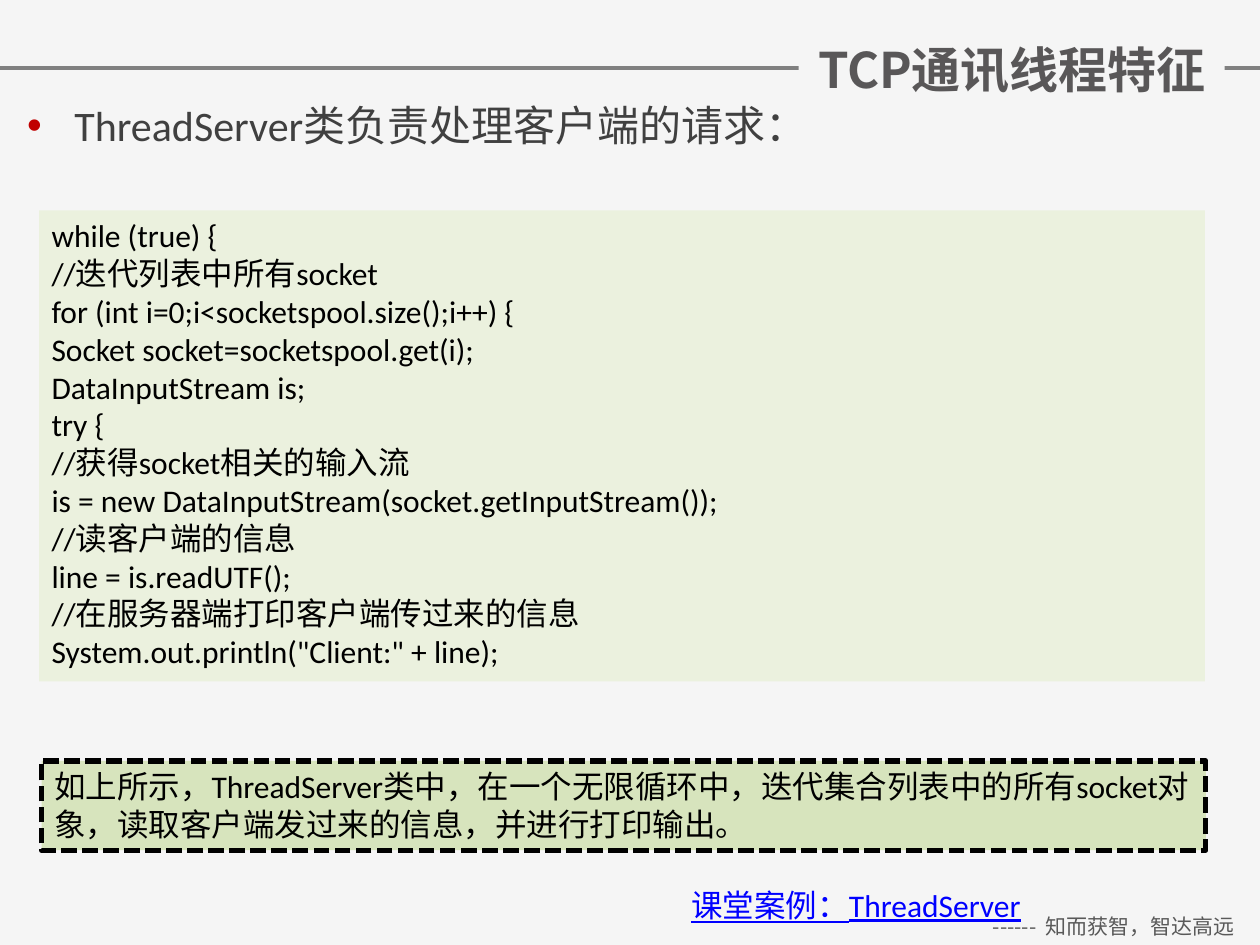
from lxml.etree import SubElement as Sub
from pptx import Presentation
from pptx.dml.color import RGBColor as Rgb
from pptx.enum.dml import MSO_LINE as Dash
from pptx.enum.shapes import MSO_CONNECTOR as Conn, MSO_SHAPE as Form
from pptx.enum.text import MSO_ANCHOR as Anchor, PP_ALIGN as Align
from pptx.oxml.ns import qn
from pptx.util import Cm, Pt

INK = {
    "back": "F5F5F5", "rule": "808080", "foot": "595959", "title": "595758",
    "body": "404040", "dot": "C00000", "code": "EBF1DE", "note": "D7E4BD",
    "black": "000000", "link": "0000FF",
}
CJK = "Noto Sans CJK SC"
CODE = """while (true) {
//迭代列表中所有socket
for (int i=0;i<socketspool.size();i++) {
Socket socket=socketspool.get(i);
DataInputStream is;
try {
//获得socket相关的输入流
is = new DataInputStream(socket.getInputStream());
//读客户端的信息
line = is.readUTF();
//在服务器端打印客户端传过来的信息
System.out.println("Client:" + line);"""
NOTE = ("如上所示，ThreadServer类中，在一个无限循环中，迭代集合列表中的所有socket对象，"
        "读取客户端发过来的信息，并进行打印输出。")


def color(name):
    return Rgb.from_string(INK[name])


def write(shape, text, size=18, ink="black", face="Calibri", align=Align.LEFT,
          anchor=Anchor.TOP, wrap=True, bold=False, under=False):
    frame = shape.text_frame
    frame.text = text
    frame.word_wrap = wrap
    frame.vertical_anchor = anchor
    for para in frame.paragraphs:
        para.alignment = align
        font = para.font
        font.name, font.size = face, Pt(size)
        font.bold, font.underline = bold, under
        font.color.rgb = color(ink)
        props = para._p.pPr.find(qn("a:defRPr"))
        Sub(props, qn("a:ea")).set("typeface", CJK)
    return frame


def label(slide, box, text, **style):
    return write(slide.shapes.add_textbox(*map(Cm, box)), text, **style)


def panel(slide, box, fill, text, **style):
    shape = slide.shapes.add_shape(Form.RECTANGLE, *map(Cm, box))
    shape.shadow.inherit = False
    shape.fill.solid()
    shape.fill.fore_color.rgb = color(fill)
    shape.line.fill.background()
    write(shape, text, **style)
    return shape


def rule(slide, y, width):
    line = slide.shapes.add_connector(Conn.STRAIGHT, 0, Cm(y), Cm(width), Cm(y))
    line.line.color.rgb = color("rule")
    line.line.width = Pt(2)
    Sub(line._element.spPr, qn("a:effectLst"))


def bullet(para, indent):
    para.space_before = Pt(4.8)
    props = para._p.pPr
    props.set("marL", str(Cm(indent)))
    props.set("indent", str(-Cm(indent)))
    tint = Sub(props, qn("a:buClr"))
    Sub(tint, qn("a:srgbClr")).set("val", INK["dot"])
    face = Sub(props, qn("a:buFont"))
    face.set("typeface", "Arial")
    mark = Sub(props, qn("a:buChar"))
    mark.set("char", "•")
    last = props.find(qn("a:defRPr"))
    for item in (tint, face, mark):
        last.addprevious(item)


def main():
    deck = Presentation()
    deck.slide_width, deck.slide_height = Cm(25.4), Cm(19.05)
    slide = deck.slides.add_slide(deck.slide_layouts[6])
    slide.background.fill.solid()
    slide.background.fill.fore_color.rgb = color("back")

    rule(slide, 1.37, 25.4)
    label(slide, (19.51, 18.29, 5.89, 0.76), "------  知而获智，智达高远",
          size=12, ink="foot", face=CJK, align=Align.CENTER, wrap=False)
    panel(slide, (16.1, 0.08, 8.59, 2.64), "back", "TCP通讯线程特征",
          size=28, ink="title", face=CJK, align=Align.CENTER,
          anchor=Anchor.MIDDLE, wrap=False, bold=True)
    body = label(slide, (0.3, 1.88, 24.38, 7.14),
                 "ThreadServer类负责处理客户端的请求：", size=24, ink="body")
    bullet(body.paragraphs[0], 0.95)
    panel(slide, (0.79, 4.24, 23.5, 9.5), "code", CODE)
    note = panel(slide, (0.84, 15.34, 23.47, 1.8), "note", NOTE)
    note.line.color.rgb = color("black")
    note.line.width = Pt(3)
    note.line.dash_style = Dash.SQUARE_DOT
    label(slide, (13.69, 17.73, 7.39, 1.02), "课堂案例：ThreadServer",
          ink="link", under=True)
    deck.save("out.pptx")


if __name__ == "__main__":
    main()
